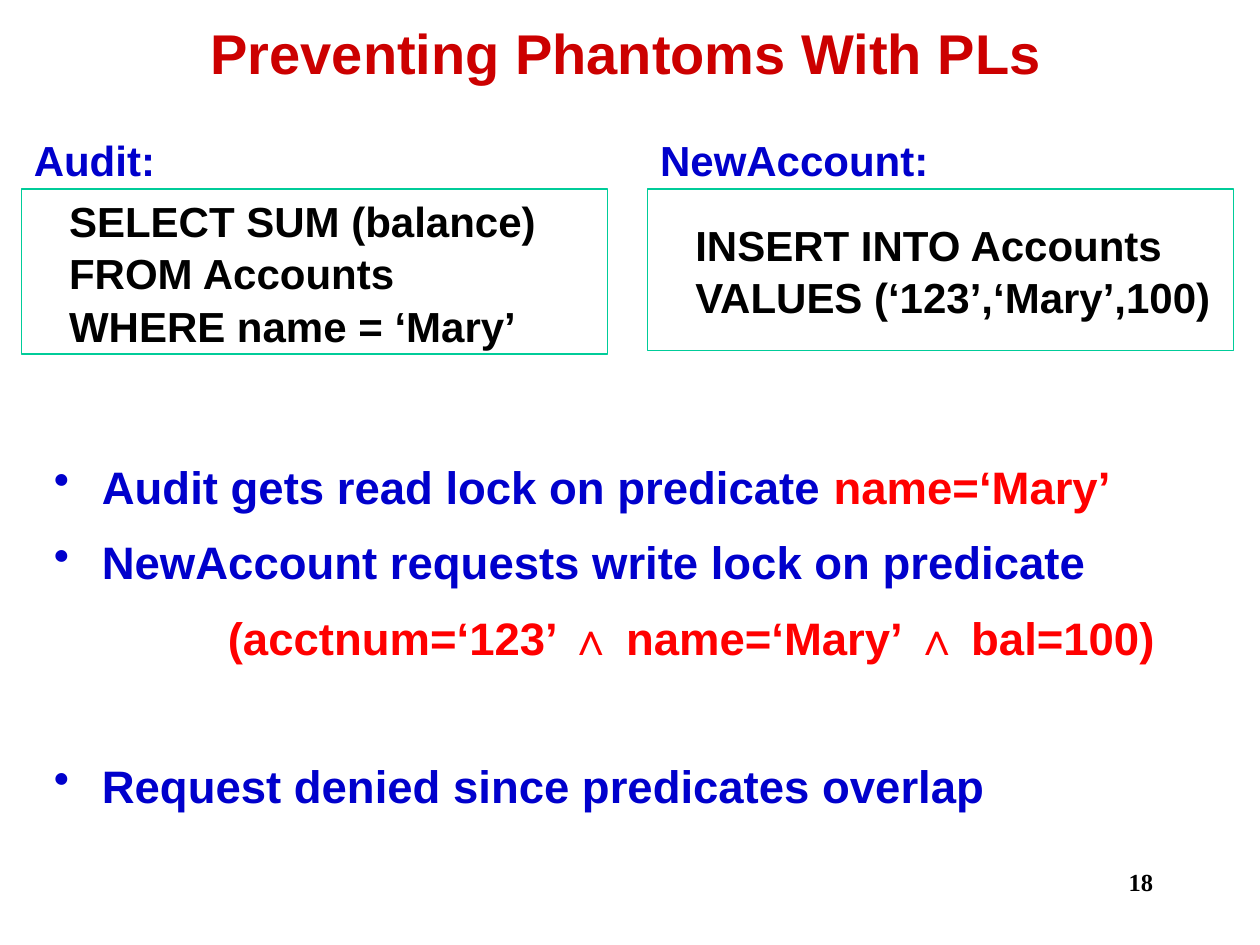
import pptx
import pptx.util
import pptx.dml.color
import pptx.enum.shapes
import pptx.enum.text
import pptx.oxml
import pptx.oxml.ns
from dataclasses import dataclass

Inches = pptx.util.Inches
Pt = pptx.util.Pt
ALIGN = pptx.enum.text.PP_ALIGN
ANCHOR = pptx.enum.text.MSO_ANCHOR


@dataclass
class Theme:
    font: str = "Arial"
    number_font: str = "Times New Roman"
    title: str = "CC0000"
    text: str = "0000CC"
    accent: str = "FF0000"
    code: str = "000000"
    border: str = "00CC99"
    title_size: int = 32
    body_size: int = 26
    code_size: int = 24
    number_size: int = 14


theme = Theme()


def add_run(p, text, size, color, font=theme.font):
    r = p.add_run()
    r.text = text
    r.font.name = font
    r.font.size = Pt(size)
    r.font.bold = True
    r.font.color.rgb = pptx.dml.color.RGBColor.from_string(color)


def set_indent(p, left, first=0, bullet=False):
    pPr = p._p.get_or_add_pPr()
    pPr.set("marL", str(Inches(left)))
    pPr.set("indent", str(Inches(first)))
    if bullet:
        bu = pptx.oxml.parse_xml(
            f'<a:buChar {pptx.oxml.ns.nsdecls("a")} char="•"/>')
        pPr.append(bu)


prs = pptx.Presentation()
prs.slide_width, prs.slide_height = Inches(10), Inches(7.5)
s = prs.slides.add_slide(prs.slide_layouts[5])

title = s.shapes.title
title.left, title.top = Inches(0.18), Inches(0.07)
title.width, title.height = Inches(9.58), Inches(0.69)
tf = title.text_frame
tf.vertical_anchor = ANCHOR.MIDDLE
p = tf.paragraphs[0]
p.alignment = ALIGN.CENTER
add_run(p, "Preventing Phantoms With PLs", theme.title_size, theme.title)

transactions = [
    ("Audit:", 0.17, 1.74, 1.31, 0.05,
     ["SELECT SUM (balance)", "FROM Accounts", "WHERE name = ‘Mary’"]),
    ("NewAccount:", 5.14, 2.61, 1.28, 0.24,
     ["INSERT INTO Accounts", "VALUES (‘123’,‘Mary’,100)"]),
]
for name, left, label_width, height, inset, lines in transactions:
    box = s.shapes.add_shape(pptx.enum.shapes.MSO_SHAPE.RECTANGLE,
                             Inches(left), Inches(1.5), Inches(4.65), Inches(height))
    box.shadow.inherit = False
    box.fill.background()
    box.line.color.rgb = pptx.dml.color.RGBColor.from_string(theme.border)
    box.line.width = Pt(0.75)
    tf = box.text_frame
    tf.word_wrap = True
    tf.vertical_anchor = ANCHOR.TOP
    tf.margin_top = tf.margin_bottom = Inches(inset)
    for i, line in enumerate(lines):
        p = tf.add_paragraph() if i else tf.paragraphs[0]
        p.alignment = ALIGN.LEFT
        p.space_before = Pt(1.25 if i else 2.5)
        set_indent(p, 0.28)
        add_run(p, line, theme.code_size, theme.code)

    label = s.shapes.add_textbox(Inches(left), Inches(1.02), Inches(label_width), Inches(0.5))
    label.text_frame.word_wrap = True
    p = label.text_frame.paragraphs[0]
    p.space_before = Pt(2.5)
    add_run(p, name, theme.code_size, theme.text)

points = [
    (True, 2, [("Audit gets read lock on predicate ", theme.text),
               ("name=‘Mary’", theme.accent)]),
    (True, 12, [("NewAccount requests write lock on predicate", theme.text)]),
    (False, 12, [("(acctnum=‘123’ ∧ name=‘Mary’ ∧ bal=100)", theme.accent)]),
    (True, 53.5, [("Request denied since predicates overlap", theme.text)]),
]
body = s.shapes.add_textbox(Inches(0.33), Inches(3.59), Inches(9.25), Inches(2.99))
tf = body.text_frame
tf.word_wrap = True
for i, (bullet, space, runs) in enumerate(points):
    p = tf.add_paragraph() if i else tf.paragraphs[0]
    p.space_before = Pt(space)
    if bullet:
        set_indent(p, 0.38, -0.38, bullet=True)
    else:
        set_indent(p, 1.38)
    for text, color in runs:
        add_run(p, text, theme.body_size, color)

number = s.shapes.add_textbox(Inches(7.17), Inches(6.83), Inches(2.08), Inches(0.5))
number.text_frame.word_wrap = True
p = number.text_frame.paragraphs[0]
p.alignment = ALIGN.RIGHT
add_run(p, "18", theme.number_size, theme.code, theme.number_font)

prs.save("out.pptx")
